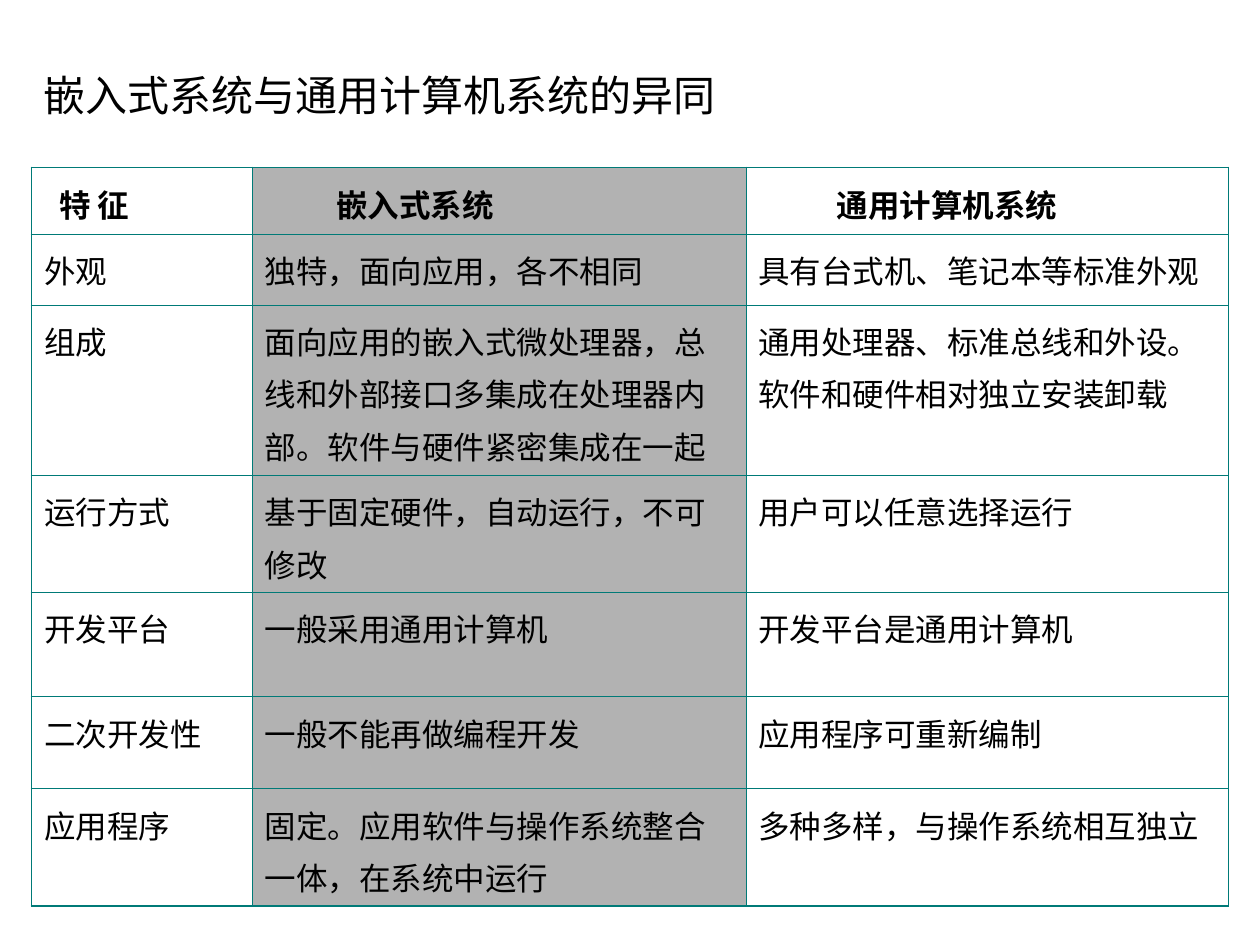
from typing import NamedTuple

import pptx
import pptx.dml.color
import pptx.oxml
import pptx.oxml.ns
import pptx.util
from pptx.util import Inches, Pt

BLACK = pptx.dml.color.RGBColor(0x00, 0x00, 0x00)
WHITE = pptx.dml.color.RGBColor(0xFF, 0xFF, 0xFF)
GREY = pptx.dml.color.RGBColor(0xB2, 0xB2, 0xB2)
TEAL = pptx.dml.color.RGBColor(0x00, 0x7A, 0x77)
FONT = "Noto Sans CJK SC"
THIN, THICK = Pt(0.45), Pt(1.08)


class Column(NamedTuple):
    heading: str
    width: float
    heading_indent: float
    fill: pptx.dml.color.RGBColor | None


class Row(NamedTuple):
    height: float
    texts: tuple[str, str, str]


COLUMNS = [
    Column("特 征", 1.75, 0.12, None),
    Column("嵌入式系统", 3.92, 0.57, GREY),
    Column("通用计算机系统", 3.83, 0.62, WHITE),
]
ROWS = [
    Row(0.53, tuple(c.heading for c in COLUMNS)),
    Row(0.56, ("外观", "独特，面向应用，各不相同", "具有台式机、笔记本等标准外观")),
    Row(1.35, ("组成",
               "面向应用的嵌入式微处理器，总线和外部接口多集成在处理器内部。软件与硬件紧密集成在一起",
               "通用处理器、标准总线和外设。软件和硬件相对独立安装卸载")),
    Row(0.93, ("运行方式", "基于固定硬件，自动运行，不可修改", "用户可以任意选择运行")),
    Row(0.83, ("开发平台", "一般采用通用计算机", "开发平台是通用计算机")),
    Row(0.73, ("二次开发性", "一般不能再做编程开发", "应用程序可重新编制")),
    Row(0.93, ("应用程序", "固定。应用软件与操作系统整合一体，在系统中运行",
               "多种多样，与操作系统相互独立")),
]


def set_text(p, text: str, size: float, bold: bool = False,
             margin: float = 0, first_line: float = 0) -> None:
    """Fill a paragraph, with its font for both Latin and East Asian text."""
    p.text = text
    p.font.name, p.font.size, p.font.bold = FONT, Pt(size), bold
    p.font.color.rgb = BLACK
    pPr = p._p.get_or_add_pPr()
    pPr.set("marL", str(Inches(margin)))
    pPr.set("indent", str(Inches(first_line)))
    defaults = pPr.find(pptx.oxml.ns.qn("a:defRPr"))
    ea = pptx.oxml.parse_xml(f'<a:ea {pptx.oxml.ns.nsdecls("a")} typeface="{FONT}"/>')
    defaults.append(ea)


def set_borders(cell, widths: dict[str, int]) -> None:
    tcPr = cell._tc.get_or_add_tcPr()
    for side, width in widths.items():
        tcPr.append(pptx.oxml.parse_xml(
            f'<a:ln{side} {pptx.oxml.ns.nsdecls("a")} w="{width}">'
            f'<a:solidFill><a:srgbClr val="{TEAL}"/></a:solidFill></a:ln{side}>'))


def draw_cell(cell, row: int, col: int) -> None:
    column, header = COLUMNS[col], row == 0
    p = cell.text_frame.paragraphs[0]
    set_text(p, ROWS[row].texts[col], 18, header, column.heading_indent if header else 0)
    p.line_spacing = 1.15
    p.space_before = Pt(4.5)
    p.space_after = Pt(2.2 if header else 7.9)
    on_edge = {"L": col == 0, "R": col == len(COLUMNS) - 1,
               "T": header, "B": row == len(ROWS) - 1}
    set_borders(cell, {side: THICK if edge else THIN for side, edge in on_edge.items()})
    if column.fill is None:
        cell.fill.background()
    else:
        cell.fill.solid()
        cell.fill.fore_color.rgb = column.fill


def draw_table(s) -> None:
    table = s.shapes.add_table(
        len(ROWS), len(COLUMNS), Inches(0.25), Inches(1.33),
        Inches(sum(c.width for c in COLUMNS)), Inches(sum(r.height for r in ROWS))).table
    table.first_row = table.horz_banding = False
    for col, column in enumerate(COLUMNS):
        table.columns[col].width = Inches(column.width)
    for row, content in enumerate(ROWS):
        table.rows[row].height = Inches(content.height)
        for col in range(len(COLUMNS)):
            draw_cell(table.cell(row, col), row, col)


def draw_title(s) -> None:
    tf = s.shapes.add_textbox(Inches(0.25), Inches(0.5), Inches(9.58), Inches(0.75)).text_frame
    tf.word_wrap = True
    p = tf.paragraphs[0]
    set_text(p, "嵌入式系统与通用计算机系统的异同", 24, margin=0.38, first_line=-0.38)
    p.space_before = Pt(6)


def main() -> None:
    prs = pptx.Presentation()
    prs.slide_width, prs.slide_height = Inches(10), Inches(7.5)
    s = prs.slides.add_slide(prs.slide_layouts[6])
    draw_title(s)
    draw_table(s)
    prs.save("out.pptx")


if __name__ == "__main__":
    main()
